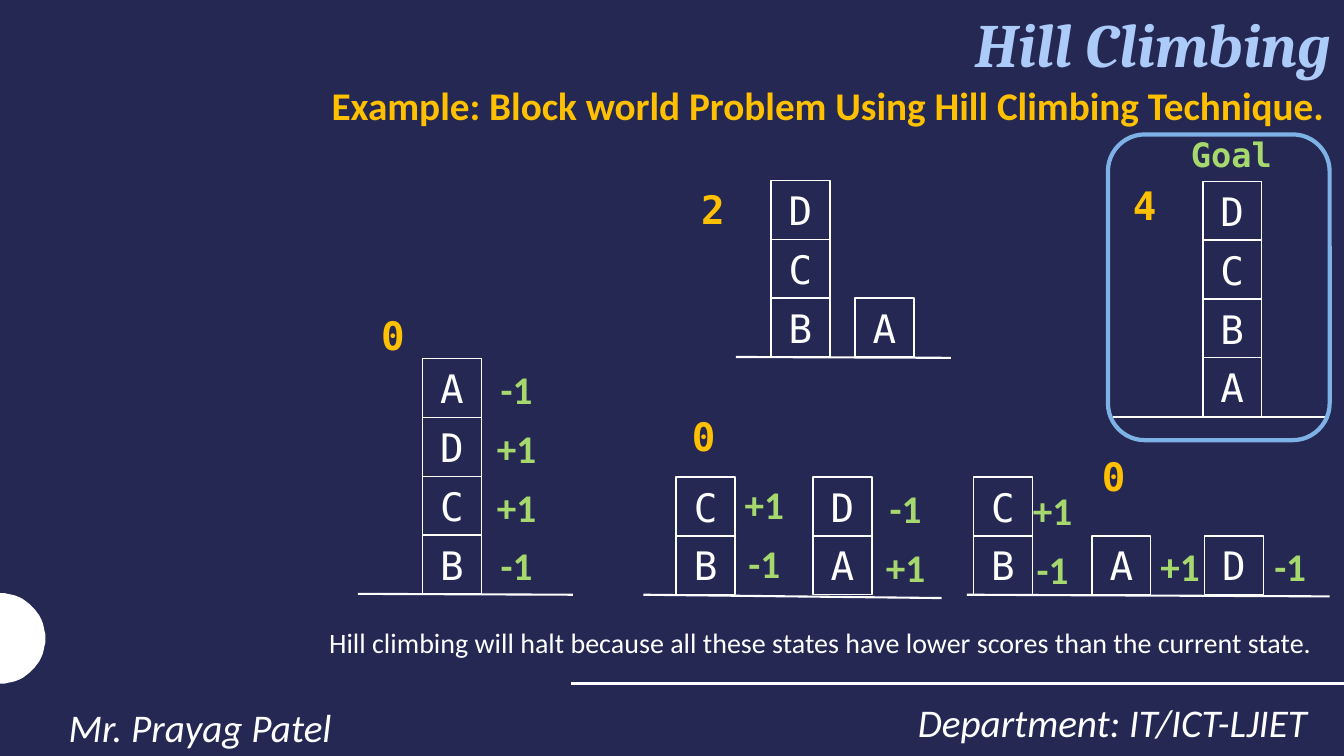
import math
from pptx import Presentation
from pptx.dml.color import RGBColor
from pptx.enum.shapes import MSO_CONNECTOR, MSO_SHAPE
from pptx.enum.text import MSO_ANCHOR, PP_ALIGN
from pptx.oxml.ns import qn
from pptx.util import Pt
from lxml import etree

PX = 7620  # EMU per px, 120 px to the inch
WIDTH, HEIGHT = 1600, 900
BLOCK = 70
MARGIN = 12

LEFT, CENTER, RIGHT = PP_ALIGN.LEFT, PP_ALIGN.CENTER, PP_ALIGN.RIGHT
JUSTIFY = PP_ALIGN.JUSTIFY
TOP, MIDDLE = MSO_ANCHOR.TOP, MSO_ANCHOR.MIDDLE
RECT, ROUND_RECT = MSO_SHAPE.RECTANGLE, MSO_SHAPE.ROUNDED_RECTANGLE
STRAIGHT = MSO_CONNECTOR.STRAIGHT

NAVY, WHITE, GOLD = "242852", "FFFFFF", "FFC000"
GREEN, PALE_BLUE, BLUE = "A6D86E", "ACCBF9", "7EB2E6"
SANS, SERIF, MONO = "Calibri", "Cambria", "DejaVu Sans Mono"

# left, ground, width, drop of the ground line, score, score offset,
# towers: offset, blocks from the top, signs, offset of the signs
STATES = [
    (426, 707, 256, 1, "0", (16, -342), [(77, "ADCB", "-++-", (77, 1))]),
    (766, 708, 355, 4, "0", (46, -223), [(39, "CB", "+-", (70, -3)),
                                         (202, "DA", "-+", (75, 2))]),
    (1151, 708, 432, 2, "0", (149, -176), [(8, "CB", "+-", (59, 4)),
                                           (149, "A", "+", (70, 1)),
                                           (283, "D", "-", (67, 1))]),
    (876, 425, 256, 1, "2", (-53, -210), [(42, "DCB", "", (0, 0)),
                                          (142, "A", "", (0, 0))]),
]
GOAL = (6, 336, 255, 0, "4", (12, -286), [(107, "DCBA", "", (0, 0))])


def px(*lengths):
    return [round(n * PX) for n in lengths]


def rgb(color):
    return RGBColor.from_string(color)


def write(sp, text, size, color, font=SANS, align=LEFT, anchor=TOP,
          margin=MARGIN, bold=False, italic=False, spacing=None):
    tf = sp.text_frame
    tf.word_wrap = True
    tf.vertical_anchor = anchor
    tf.margin_left, tf.margin_right = px(margin, margin)
    tf.text = text
    p = tf.paragraphs[0]
    p.alignment = align
    p.line_spacing = spacing
    f = p.runs[0].font
    f.name, f.size, f.bold, f.italic = font, Pt(size), bold, italic
    f.color.rgb = rgb(color)


def add_text(s, box, text, size, color, **style):
    write(s.shapes.add_textbox(*px(*box)), text, size, color, **style)


def add_outline(s, kind, box, color, width):
    sp = s.shapes.add_shape(kind, *px(*box))
    sp.shadow.inherit = False
    sp.fill.background()
    sp.line.color.rgb = rgb(color)
    sp.line.width = Pt(width)
    return sp


def add_line(s, ends, width):
    line = s.shapes.add_connector(STRAIGHT, *px(*ends))
    line.line.color.rgb = rgb(WHITE)
    line.line.width = Pt(width)
    etree.SubElement(line._element.spPr, qn("a:effectLst"))


def add_half_disc(s, x, y, radius):
    """Draw the right half of a disc centred on x, y."""
    angles = [math.radians(a) for a in range(-90, 91, 5)]
    points = [(x + radius * math.cos(a), y + radius * math.sin(a)) for a in angles]
    fb = s.shapes.build_freeform(*points[0], scale=PX)
    fb.add_line_segments(points[1:], close=True)
    sp = fb.convert_to_shape()
    sp.shadow.inherit = False
    sp.fill.solid()
    sp.fill.fore_color.rgb = rgb(WHITE)
    sp.line.fill.background()


def add_tower(s, x, ground, blocks, signs, sign_offset):
    top = ground - BLOCK * len(blocks)
    for i, name in enumerate(blocks):
        sp = add_outline(s, RECT, (x, top + i * BLOCK, BLOCK, BLOCK), WHITE, 1)
        write(sp, name, 28, WHITE, font=MONO, align=CENTER, anchor=MIDDLE, margin=0)
    dx, dy = sign_offset
    for i, sign in enumerate(signs):
        add_text(s, (x + dx, top + i * BLOCK + dy, BLOCK, BLOCK), sign + "1", 28, GREEN,
                 align=CENTER, anchor=MIDDLE, margin=0, bold=True)


def add_state(s, left, ground, width, drop, score, score_offset, towers):
    for offset, blocks, signs, sign_offset in towers:
        add_tower(s, left + offset, ground, blocks, signs, sign_offset)
    add_line(s, (left, ground, left + width, ground + drop), 1.5)
    dx, dy = score_offset
    add_text(s, (left + dx, ground + dy, 60, 68), score, 28, GOLD, font=MONO, bold=True)


def add_goal(s, x, y, w, h):
    left, ground, *rest = GOAL
    add_state(s, x + left, y + ground, *rest)
    add_text(s, (x + 87, y - 6, 120, 60), "Goal", 24, GREEN, font=MONO,
             align=CENTER, margin=0, bold=True)
    add_outline(s, ROUND_RECT, (x, y, w, h), BLUE, 3)


def add_heading(s, x, y, w):
    add_text(s, (x, y, w, 133), "Hill Climbing", 44, PALE_BLUE, font=SERIF,
             align=RIGHT, bold=True, italic=True)
    add_text(s, (x + 113, y + 90, w - 112, 68),
             "Example: Block world Problem Using Hill Climbing Technique.",
             28, GOLD, align=JUSTIFY, bold=True)


def add_footer(s, y):
    add_half_disc(s, 0, y - 54, 54)
    add_line(s, (680, y, WIDTH, y), 2)
    add_text(s, (970, y + 4, 598, 76), "Department: IT/ICT-LJIET", 28, WHITE,
             align=RIGHT, italic=True, spacing=1.14)
    add_text(s, (70, y + 9, 880, 76), "Mr. Prayag Patel", 28, WHITE,
             italic=True, spacing=1.14)


def main():
    prs = Presentation()
    prs.slide_width, prs.slide_height = px(WIDTH, HEIGHT)
    s = prs.slides.add_slide(prs.slide_layouts[6])
    s.background.fill.solid()
    s.background.fill.fore_color.rgb = rgb(NAVY)
    add_footer(s, 814)
    add_heading(s, 270, 1, 1327)
    for state in STATES:
        add_state(s, *state)
    add_goal(s, 1319, 160, 264, 364)
    add_text(s, (380, 739, 1216, 53),
             "Hill climbing will halt because all these states have lower scores "
             "than the current state.", 20, WHITE, align=JUSTIFY)
    prs.save("out.pptx")


if __name__ == "__main__":
    main()
